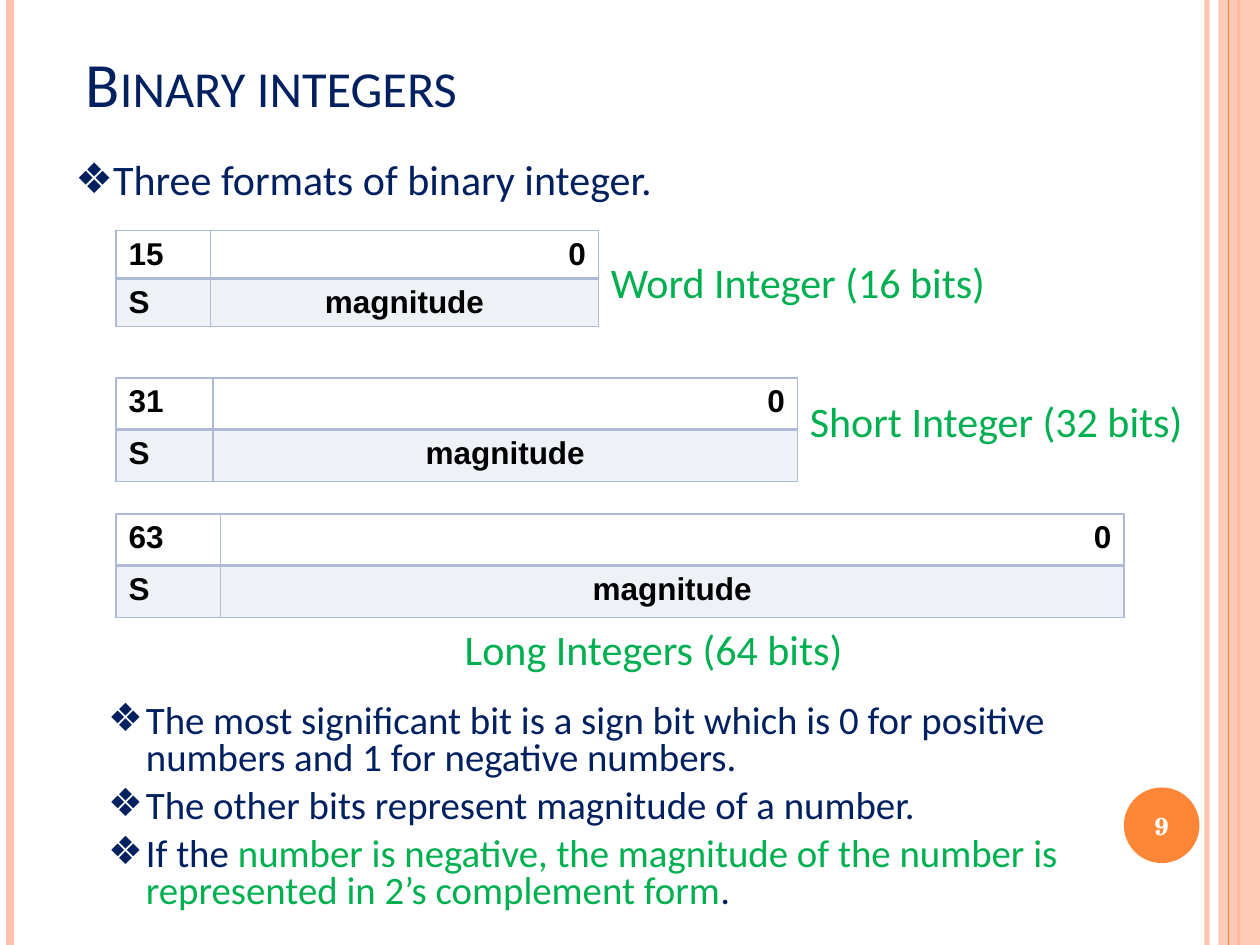
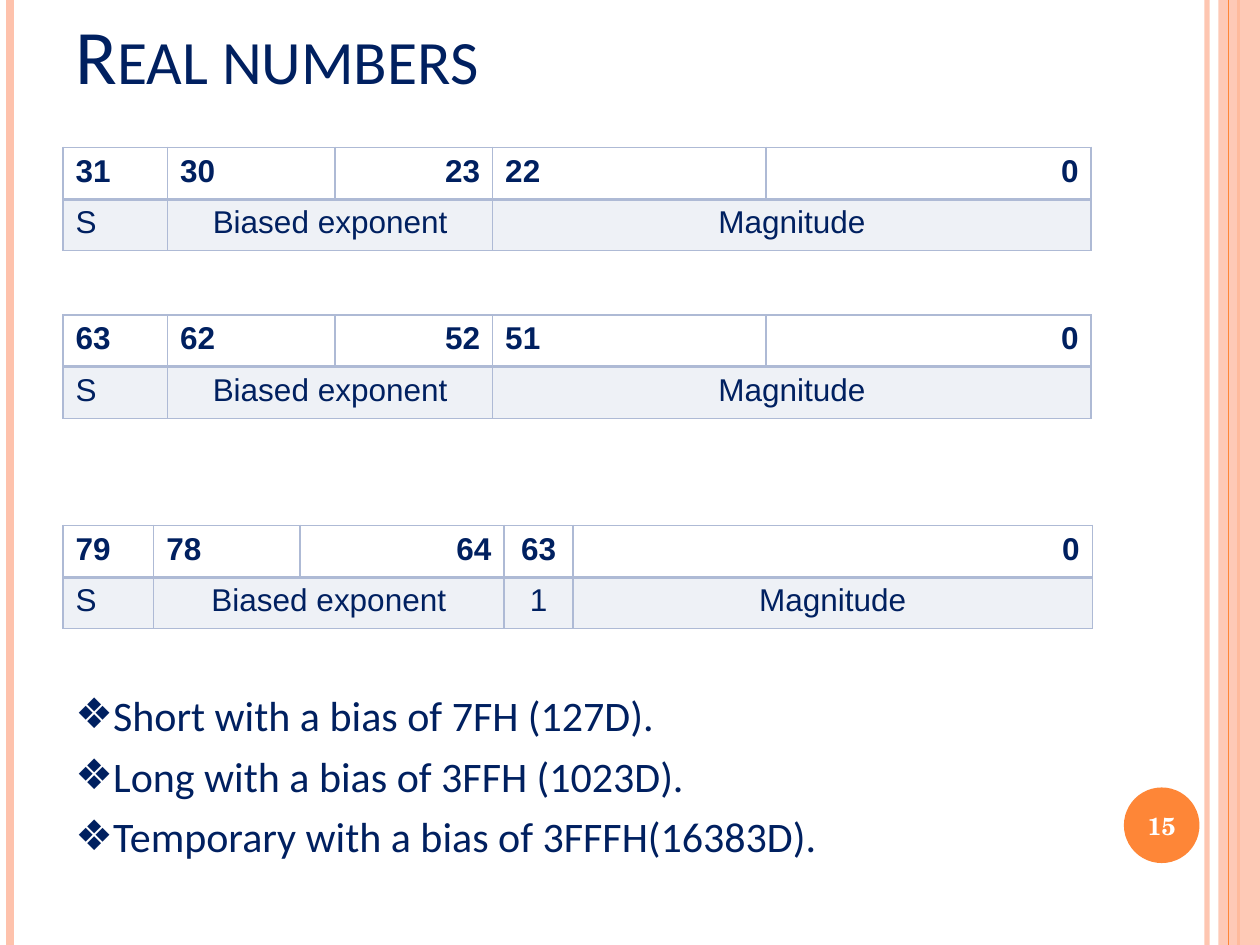
from lxml.etree import SubElement
from pptx import Presentation
from pptx.dml.color import RGBColor
from pptx.enum.shapes import MSO_CONNECTOR, MSO_SHAPE
from pptx.enum.text import MSO_ANCHOR, MSO_AUTO_SIZE, PP_ALIGN
from pptx.oxml.ns import qn
from pptx.util import Inches, Pt

COLORS = {
    "navy": "002060", "green": "00B050", "black": "000000", "white": "FFFFFF",
    "peach": "FEC2AC", "orange": "FE8637", "grid": "AEBAD5",
}
TEXT_FONT, TABLE_FONT, NUMBER_FONT = "Calibri", "Arial", "TeX Gyre Schola"
ALIGN = {"l": PP_ALIGN.LEFT, "c": PP_ALIGN.CENTER, "r": PP_ALIGN.RIGHT}
WIDTH, HEIGHT, BODY_WIDTH = 10, 7.5, 8.17

BANDS_BEHIND = [(9.58, "peach", 3, 93), (0.08, "peach", 4.5, 100), (9.83, "orange", 1.5, 100)]
BANDS_FRONT = [(9.75, "orange", 0.75, 100)]

INTEGER_FIELDS = [("S", 1, "l"), ("magnitude", 1, "c")]
REAL_FIELDS = [("S", 1, "l"), ("Biased exponent", 2, "c"), ("Magnitude", 2, "c")]
TEMPORARY_FIELDS = [("S", 1, "l"), ("Biased exponent", 2, "c"), ("1", 1, "c"), ("Magnitude", 1, "c")]
REAL_COLUMNS = [0.83, 1.33, 1.25, 2.17, 2.58]

SLIDES = [
    {
        "number": "9",
        "title": "Binary integers", "title_size": 36, "title_height": 0.83,
        "table_left": 0.92, "table_color": "black", "field_bold": True,
        "tables": [
            (1.83, 0.38, [0.75, 3.08], [("15", "l"), ("0", "r")], INTEGER_FIELDS),
            (3, 0.41, [0.77, 4.64], [("31", "l"), ("0", "r")], INTEGER_FIELDS),
            (4.08, 0.41, [0.83, 7.17], [("63", "l"), ("0", "r")], INTEGER_FIELDS),
        ],
        "labels": [
            (4.75, 1.99, "Word Integer (16 bits)"),
            (6.33, 3.09, "Short Integer (32 bits)"),
            (3.59, 4.9, "Long Integers (64 bits)"),
        ],
        "lists": [
            ((0.5, 1.17, BODY_WIDTH, 0.58), 24, 1, ["Three formats of binary integer."]),
            ((0.76, 5.54, BODY_WIDTH, 1.86), 22.2, 0.8, [
                "The most significant bit is a sign bit which is 0 for positive numbers "
                "and 1 for negative numbers.",
                "The other bits represent magnitude of a number.",
                [("If the ", "navy"),
                 ("number is negative, the magnitude of the number is represented "
                  "in 2’s complement form", "green"),
                 (".", "navy")],
            ]),
        ],
    },
    {
        "number": "15",
        "title": "Real numbers", "title_size": 44, "title_height": 0.67,
        "table_left": 0.5, "table_color": "navy", "field_bold": False,
        "tables": [
            (1.17, 0.41, REAL_COLUMNS,
             [("31", "l"), ("30", "l"), ("23", "r"), ("22", "l"), ("0", "r")], REAL_FIELDS),
            (2.5, 0.41, REAL_COLUMNS,
             [("63", "l"), ("62", "l"), ("52", "r"), ("51", "l"), ("0", "r")], REAL_FIELDS),
            (4.17, 0.41, [0.72, 1.16, 1.62, 0.55, 4.12],
             [("79", "l"), ("78", "l"), ("64", "r"), ("63", "c"), ("0", "r")], TEMPORARY_FIELDS),
        ],
        "labels": [],
        "lists": [
            ((0.5, 5.42, BODY_WIDTH, 1.83), 24, 1, [
                "Short with a bias of 7FH (127D).",
                "Long with a bias of 3FFH (1023D).",
                "Temporary with a bias of 3FFFH(16383D).",
            ]),
        ],
    },
]


def rgb(name):
    return RGBColor.from_string(COLORS[name])


def set_opacity(properties, percent):
    color = next(properties.iter(qn("a:srgbClr")))
    SubElement(color, qn("a:alpha"), val=str(percent * 1000))


def write(paragraph, text, size=24, font=TEXT_FONT, color="navy", bold=False, align="l",
          small_caps=False):
    paragraph.alignment = ALIGN[align]
    parts = [(text, color)] if isinstance(text, str) else text
    for part, part_color in parts:
        run = paragraph.add_run()
        run.text = part
        run.font.size = Pt(size)
        run.font.name = font
        run.font.bold = bold
        run.font.color.rgb = rgb(part_color)
        if small_caps:
            run.font._element.set("cap", "small")


def add_bullet(paragraph):
    properties = paragraph._p.get_or_add_pPr()
    properties.set("marL", str(Inches(0.3)))
    properties.set("indent", str(-Inches(0.3)))
    color = SubElement(properties, qn("a:buClr"))
    SubElement(color, qn("a:srgbClr"), val=COLORS["navy"])
    SubElement(properties, qn("a:buFont"), typeface=TABLE_FONT)
    SubElement(properties, qn("a:buChar"), char="❖")


def add_text_box(slide, box, wrap=True):
    frame = slide.shapes.add_textbox(*map(Inches, box)).text_frame
    frame.word_wrap = wrap
    return frame


def add_list(slide, box, size, spacing, items):
    frame = add_text_box(slide, box)
    for index, item in enumerate(items):
        paragraph = frame.add_paragraph() if index else frame.paragraphs[0]
        paragraph.line_spacing = spacing
        paragraph.space_before = Pt(6 if index else 0)
        add_bullet(paragraph)
        write(paragraph, item, size=size)


def add_bands(slide, bands):
    for x, color, width, opacity in bands:
        line = slide.shapes.add_connector(
            MSO_CONNECTOR.STRAIGHT, Inches(x), 0, Inches(x), Inches(HEIGHT))
        line.line.color.rgb = rgb(color)
        line.line.width = Pt(width)
        properties = line._element.spPr
        if opacity < 100:
            set_opacity(properties, opacity)
        SubElement(properties, qn("a:effectLst"))


def add_plain_shape(slide, kind, box, color):
    shape = slide.shapes.add_shape(kind, *map(Inches, box))
    shape.shadow.inherit = False
    shape.fill.solid()
    shape.fill.fore_color.rgb = rgb(color)
    shape.line.fill.background()
    return shape


def add_frame(slide, number):
    add_bands(slide, BANDS_BEHIND)
    strip = add_plain_shape(slide, MSO_SHAPE.RECTANGLE, (9.67, 0, 0.33, HEIGHT), "peach")
    set_opacity(strip._element.spPr, 87)
    add_bands(slide, BANDS_FRONT)
    badge = add_plain_shape(slide, MSO_SHAPE.OVAL, (8.92, 6.25, 0.6, 0.6), "orange")
    frame = badge.text_frame
    frame.margin_left = frame.margin_right = 0
    frame.vertical_anchor = MSO_ANCHOR.MIDDLE
    write(frame.paragraphs[0], number, size=14, font=NUMBER_FONT, color="white", bold=True, align="c")


def format_title(slide, text, size, height):
    title = slide.shapes.title
    title.left, title.top, title.width, title.height = map(Inches, (0.5 if size > 36 else 0.58, 0.17, BODY_WIDTH, height))
    frame = title.text_frame
    frame.auto_size = MSO_AUTO_SIZE.NONE
    frame.vertical_anchor = MSO_ANCHOR.BOTTOM
    write(frame.paragraphs[0], text, size=size, small_caps=True)


def format_cell(cell, is_field):
    properties = cell._tc.get_or_add_tcPr()
    widths = {"lnL": 1, "lnR": 1, "lnT": 2 if is_field else 1, "lnB": 1 if is_field else 2}
    for side, width in widths.items():
        line = SubElement(properties, qn(f"a:{side}"), w=str(Pt(width)))
        fill = SubElement(line, qn("a:solidFill"))
        SubElement(fill, qn("a:srgbClr"), val=COLORS["grid"])
    if is_field:
        cell.fill.solid()
        cell.fill.fore_color.rgb = rgb("grid")
        set_opacity(properties.find(qn("a:solidFill")), 20)
    else:
        cell.fill.background()


def add_format_table(slide, left, top, row_height, columns, bits, fields, color, field_bold):
    box = (left, top, sum(columns), 2 * row_height)
    table = slide.shapes.add_table(2, len(columns), *map(Inches, box)).table
    table.first_row = table.horz_banding = False
    for column, width in zip(table.columns, columns):
        column.width = Inches(width)
    for row_index, row in enumerate(table.rows):
        for cell in row.cells:
            format_cell(cell, row_index == 1)
    style = {"size": 18, "font": TABLE_FONT, "color": color}
    for index, (text, align) in enumerate(bits):
        write(table.cell(0, index).text_frame.paragraphs[0], text, bold=True, align=align, **style)
    start = 0
    for text, span, align in fields:
        cell = table.cell(1, start)
        if span > 1:
            cell.merge(table.cell(1, start + span - 1))
        write(cell.text_frame.paragraphs[0], text, bold=field_bold, align=align, **style)
        start += span


def build_slide(presentation, content):
    slide = presentation.slides.add_slide(presentation.slide_layouts[5])
    add_frame(slide, content["number"])
    format_title(slide, content["title"], content["title_size"], content["title_height"])
    for table in content["tables"]:
        add_format_table(slide, content["table_left"], *table,
                         color=content["table_color"], field_bold=content["field_bold"])
    for left, top, text in content["labels"]:
        frame = add_text_box(slide, (left, top, 3.54, 0.5), wrap=False)
        write(frame.paragraphs[0], text, color="green")
    for bullet_list in content["lists"]:
        add_list(slide, *bullet_list)


def main():
    presentation = Presentation()
    presentation.slide_width = Inches(WIDTH)
    presentation.slide_height = Inches(HEIGHT)
    for content in SLIDES:
        build_slide(presentation, content)
    presentation.save("out.pptx")


if __name__ == "__main__":
    main()
